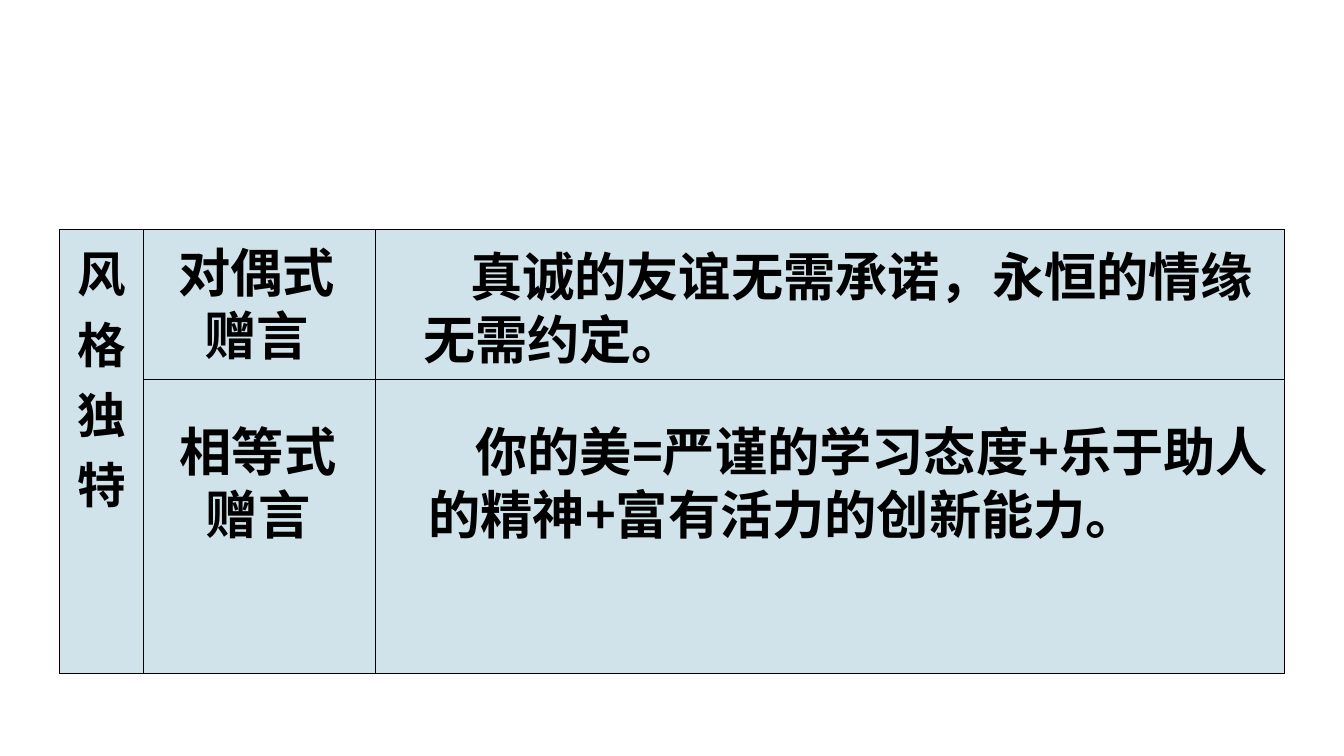
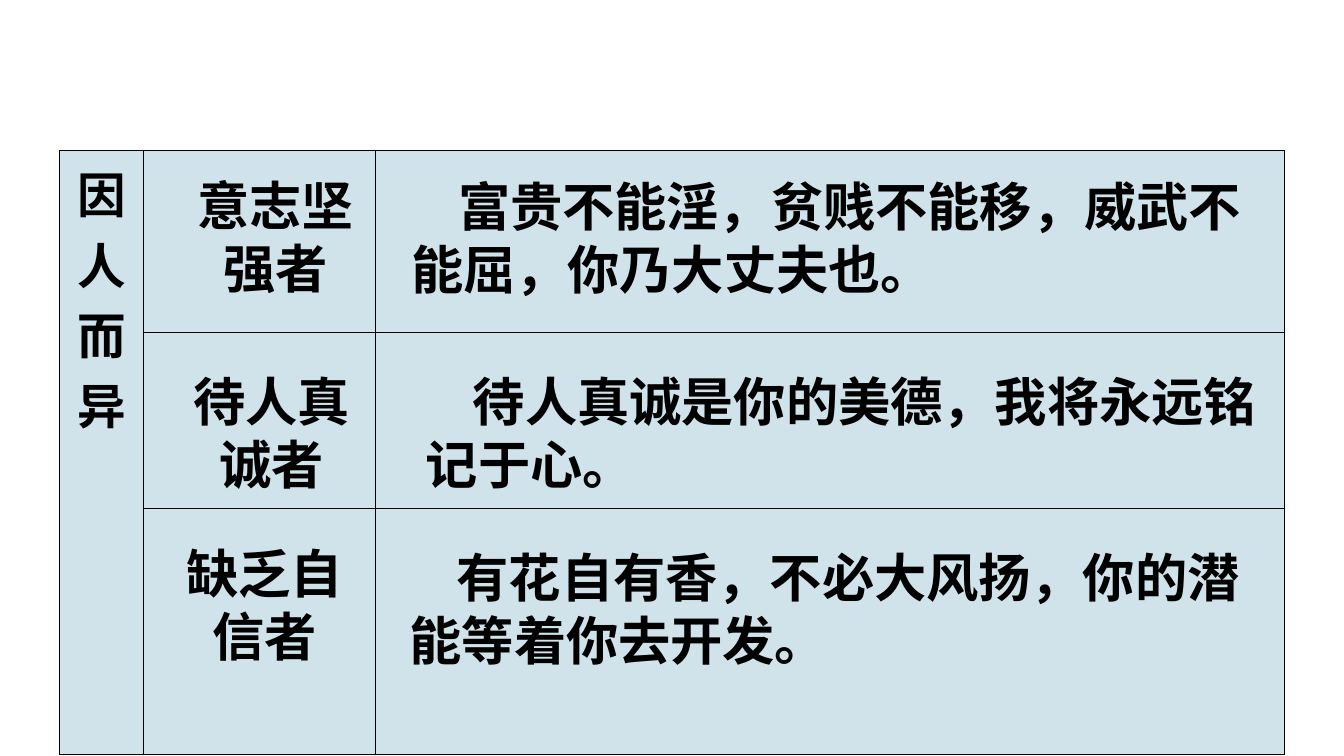
"""Build two slides of farewell messages, each a ruled table with text laid over its cells."""
from dataclasses import dataclass

from lxml.etree import SubElement
from pptx import Presentation
from pptx.dml.color import RGBColor
from pptx.enum.text import MSO_AUTO_SIZE as AutoSize, PP_ALIGN as Align
from pptx.oxml.ns import qn
from pptx.util import Inches, Pt


@dataclass(frozen=True)
class Theme:
    ink: str = "000000"
    cell: str = "D0E3EA"
    heading_font: str = "Calibri"
    body_font: str = "Noto Sans CJK SC"
    heading_size: float = 26
    body_size: float = 28
    rule: float = 0.45
    first_line: float = 0.35


class Deck:
    def __init__(self, theme):
        self.theme = theme
        self.prs = Presentation()
        self.prs.slide_width, self.prs.slide_height = Inches(10), Inches(10 * 9 / 16)
        self.slide = None

    def new_slide(self):
        self.slide = self.prs.slides.add_slide(self.prs.slide_layouts[6])

    def style(self, p, font, size, align):
        p.alignment = align
        for r in p.runs:
            r.font.name, r.font.size, r.font.bold = font, Pt(size), True
            r.font.color.rgb = RGBColor.from_string(self.theme.ink)
            SubElement(r._r.get_or_add_rPr(), qn("a:ea"), typeface=self.theme.body_font)

    def border(self, cell):
        props = cell._tc.get_or_add_tcPr()
        for i, side in enumerate(("lnL", "lnR", "lnT", "lnB")):
            line = props.makeelement(qn(f"a:{side}"), {"w": str(Pt(self.theme.rule))})
            fill = SubElement(line, qn("a:solidFill"))
            SubElement(fill, qn("a:srgbClr"), val=self.theme.ink)
            props.insert(i, line)

    def table(self, top, heading, heights):
        widths = (0.63, 1.72, 6.77)
        frame = self.slide.shapes.add_table(
            len(heights), len(widths), Inches(0.44), Inches(top),
            Inches(sum(widths)), Inches(sum(heights)))
        table = frame.table
        for column, width in zip(table.columns, widths):
            column.width = Inches(width)
        for row, height in zip(table.rows, heights):
            row.height = Inches(height)
        for cell in table.iter_cells():
            cell.fill.solid()
            cell.fill.fore_color.rgb = RGBColor.from_string(self.theme.cell)
            self.border(cell)
        head = table.cell(0, 0)
        head.merge(table.cell(len(heights) - 1, 0))
        head.text_frame.text = heading
        self.style(head.text_frame.paragraphs[0], self.theme.heading_font,
                   self.theme.heading_size, Align.CENTER)

    def text(self, left, top, width, content, align):
        sp = self.slide.shapes.add_textbox(
            Inches(left), Inches(top), Inches(width), Inches(1.04))
        tf = sp.text_frame
        tf.word_wrap, tf.auto_size = True, AutoSize.SHAPE_TO_FIT_TEXT
        tf.text = content
        p = tf.paragraphs[0]
        self.style(p, self.theme.body_font, self.theme.body_size, align)
        return p

    def label(self, left, top, content):
        self.text(left, top, 1.42, content, Align.CENTER)

    def message(self, left, top, width, content):
        p = self.text(left, top, width, content, Align.LEFT)
        p._p.get_or_add_pPr().set("indent", str(Inches(self.theme.first_line)))


SLIDES = [
    (1.71, "风格独特", (1.11, 1.55), [
        ((1.2, 1.74, "对偶式赠言"),
         (3.05, 1.77, 6.48, "真诚的友谊无需承诺，永恒的情缘无需约定。")),
        ((1.21, 3.07, "相等式赠言"),
         (3.09, 3.07, 6.48, "你的美=严谨的学习态度+乐于助人的精神+富有活力的创新能力。")),
    ]),
    (1.12, "因人而异", (1.35, 1.31, 1.55), [
        ((1.34, 1.24, "意志坚强者"),
         (2.96, 1.25, 6.52, "富贵不能淫，贫贱不能移，威武不能屈，你乃大丈夫也。")),
        ((1.31, 2.7, "待人真诚者"),
         (3.07, 2.7, 6.48, "待人真诚是你的美德，我将永远铭记于心。")),
        ((1.26, 3.98, "缺乏自信者"),
         (2.95, 4.01, 6.6, "有花自有香，不必大风扬，你的潜能等着你去开发。")),
    ]),
]


def main():
    deck = Deck(Theme())
    for top, heading, heights, entries in SLIDES:
        deck.new_slide()
        deck.table(top, heading, heights)
        for label, message in entries:
            deck.label(*label)
            deck.message(*message)
    deck.prs.save("out.pptx")


if __name__ == "__main__":
    main()
